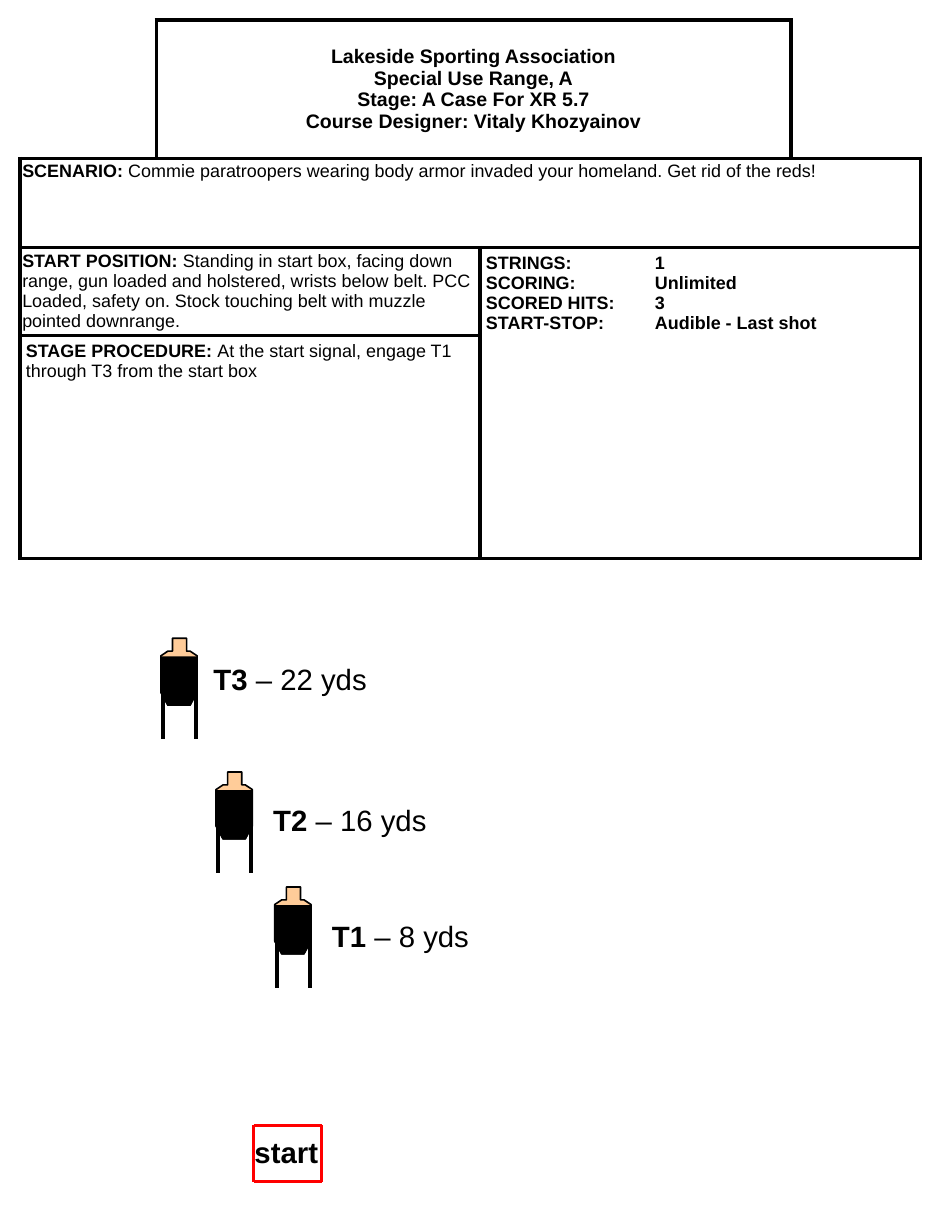
from dataclasses import dataclass

from lxml import etree
from pptx import Presentation
from pptx.dml.color import RGBColor
from pptx.enum.shapes import MSO_CONNECTOR
from pptx.enum.text import MSO_ANCHOR, PP_ALIGN
from pptx.oxml.ns import qn
from pptx.util import Inches, Pt

LINE = MSO_CONNECTOR.STRAIGHT
LEFT, CENTER = PP_ALIGN.LEFT, PP_ALIGN.CENTER
TOP, MIDDLE = MSO_ANCHOR.TOP, MSO_ANCHOR.MIDDLE


@dataclass(frozen=True)
class Theme:
    font: str = "Arial"
    black: str = "000000"
    white: str = "FFFFFF"
    red: str = "FF0000"
    tan: str = "FFCC99"
    head: float = 12
    body: float = 11
    label: float = 18
    rule: float = 2.25


THEME = Theme()

# Target outlines, measured from the top left of each target
BODY = [(0.1, 0), (0.22, 0), (0.22, 0.11), (0.25, 0.11), (0.31, 0.15),
        (0.31, 0.46), (0.25, 0.57), (0.06, 0.57), (0, 0.46), (0, 0.15),
        (0.06, 0.11), (0.1, 0.11)]
VEST = [(0, 0.16), (0.31, 0.16), (0.31, 0.45), (0.25, 0.57),
        (0.06, 0.57), (0, 0.46)]


def color(code):
    return RGBColor.from_string(code)


def write(frame, paras, size=THEME.body, align=LEFT, space=None, tab=None):
    """Each paragraph is a list of (text, bold) runs."""
    for i, runs in enumerate(paras):
        para = frame.paragraphs[0] if i == 0 else frame.add_paragraph()
        para.alignment = align
        if space:
            para.line_spacing = space
        if tab:
            tabs = etree.SubElement(para._p.get_or_add_pPr(), qn("a:tabLst"))
            etree.SubElement(tabs, qn("a:tab"), pos=str(Inches(tab)), algn="l")
        for text, bold in runs:
            run = para.add_run()
            run.text = text
            font = run.font
            font.name, font.size, font.bold = THEME.font, Pt(size), bold
            font.color.rgb = color(THEME.black)


def border(cell, sides):
    props = cell._tc.get_or_add_tcPr()
    for i, side in enumerate("LRTB"):
        line = etree.Element(qn("a:ln" + side), w=str(Pt(THEME.rule)))
        if side in sides:
            fill = etree.SubElement(line, qn("a:solidFill"))
            etree.SubElement(fill, qn("a:srgbClr"), val=THEME.black)
        else:
            etree.SubElement(line, qn("a:noFill"))
        props.insert(i, line)


def block(table, start, end, paras=(), sides="LRTB", pad=(0.05, 0.05),
          anchor=TOP, **form):
    """Fill and frame the cells from start to end, merged into one."""
    for row in range(start[0], end[0] + 1):
        for col in range(start[1], end[1] + 1):
            cell = table.cell(row, col)
            border(cell, sides)
            cell.fill.solid()
            cell.fill.fore_color.rgb = color(THEME.white)
    cell = table.cell(*start)
    if start != end:
        cell.merge(table.cell(*end))
    cell.margin_left = cell.margin_right = Inches(pad[0])
    cell.margin_top = cell.margin_bottom = Inches(pad[1])
    cell.vertical_anchor = anchor
    write(cell.text_frame, paras, **form)


def label(shapes, x, y, wide, runs):
    box = shapes.add_textbox(Inches(x), Inches(y), Inches(wide), Inches(0.4))
    box.text_frame.word_wrap = True
    write(box.text_frame, [runs], size=THEME.label)


def rule(shapes, x1, y1, x2, y2, ink, width):
    line = shapes.add_connector(
        LINE, Inches(x1), Inches(y1), Inches(x2), Inches(y2))
    line.line.color.rgb = color(ink)
    line.line.width = Pt(width)
    etree.SubElement(line._element.spPr, qn("a:effectLst"))


def outline(shapes, x, y, points, fill, width):
    spots = [(Inches(x + dx), Inches(y + dy)) for dx, dy in points]
    form = shapes.build_freeform(*spots[0])
    form.add_line_segments(spots[1:], close=True)
    shape = form.convert_to_shape()
    shape.shadow.inherit = False
    shape.fill.solid()
    shape.fill.fore_color.rgb = color(fill)
    shape.line.color.rgb = color(THEME.black)
    shape.line.width = Pt(width)


def target(shapes, x, y):
    for dx in (0.02, 0.3):
        rule(shapes, x + dx, y + 0.42, x + dx, y + 0.86,
             THEME.black, THEME.rule)
    outline(shapes, x, y, BODY, THEME.tan, 1)
    outline(shapes, x, y, VEST, THEME.black, 0)


def brief(shapes):
    cols, rows = (1.16, 2.76, 2.65, 1.1), (1.18, 0.76, 0.75, 1.9)
    table = shapes.add_table(
        len(rows), len(cols), Inches(0.17), Inches(0.17),
        Inches(sum(cols)), Inches(sum(rows))).table
    table.first_row = table.horz_banding = False
    for col, wide in zip(table.columns, cols):
        col.width = Inches(wide)
    for row, high in zip(table.rows, rows):
        row.height = Inches(high)

    # Title between two open corners
    block(table, (0, 0), (0, 0), sides="RB")
    block(table, (0, 3), (0, 3), sides="LB")
    title = ("Lakeside Sporting Association", "Special Use Range, A",
             "Stage: A Case For XR 5.7", "Course Designer: Vitaly Khozyainov")
    block(table, (0, 1), (0, 2), [[(text, True)] for text in title],
          anchor=MIDDLE, size=THEME.head, align=CENTER)

    # Scenario, start and procedure
    block(table, (1, 0), (1, 3), [[
        ("SCENARIO:", True),
        (" Commie paratroopers wearing body armor invaded your homeland."
         " Get rid of the reds!", False)]], pad=(0.02, 0.04), space=0.9)
    block(table, (2, 0), (2, 1), [[
        ("START POSITION: ", True),
        ("Standing in start box, facing down range, gun loaded and holstered,"
         " wrists below belt. PCC Loaded, safety on. Stock touching belt with"
         " muzzle pointed downrange.", False)]], pad=(0.02, 0.03))
    block(table, (3, 0), (3, 1), [[
        ("STAGE PROCEDURE: ", True),
        ("At the start signal, engage T1 through T3 from the start box",
         False)]])

    # Scoring facts
    facts = (("STRINGS:", "1"), ("SCORING:", "Unlimited"),
             ("SCORED HITS:", "3"), ("START-STOP:", "Audible - Last shot"))
    block(table, (2, 2), (3, 3),
          [[(f"{name}\t{value}", True)] for name, value in facts], tab=1.44)


def start_box(shapes):
    left, right, top, base = 2.16, 2.74, 9.59, 10.07
    for y in (top, base):
        rule(shapes, left, y, right, y, THEME.red, 2)
    for x in (left, right):
        rule(shapes, x, top, x, base, THEME.red, 2)
    label(shapes, 2.07, 9.62, 0.86, [("start", True)])


def main():
    deck = Presentation()
    deck.slide_width, deck.slide_height = Inches(8), Inches(10.5)
    shapes = deck.slides.add_slide(deck.slide_layouts[6]).shapes

    brief(shapes)

    # Targets: name, range, target place, label place and width
    for name, yards, x, y, tx, ty, wide in (
            ("T1", 8, 2.34, 7.56, 2.73, 7.78, 1.61),
            ("T2", 16, 1.84, 6.58, 2.23, 6.79, 1.93),
            ("T3", 22, 1.37, 5.44, 1.72, 5.59, 2.09)):
        target(shapes, x, y)
        label(shapes, tx, ty, wide,
              [(f"{name} ", True), (f"– {yards} yds", False)])

    start_box(shapes)
    deck.save("out.pptx")


if __name__ == "__main__":
    main()
